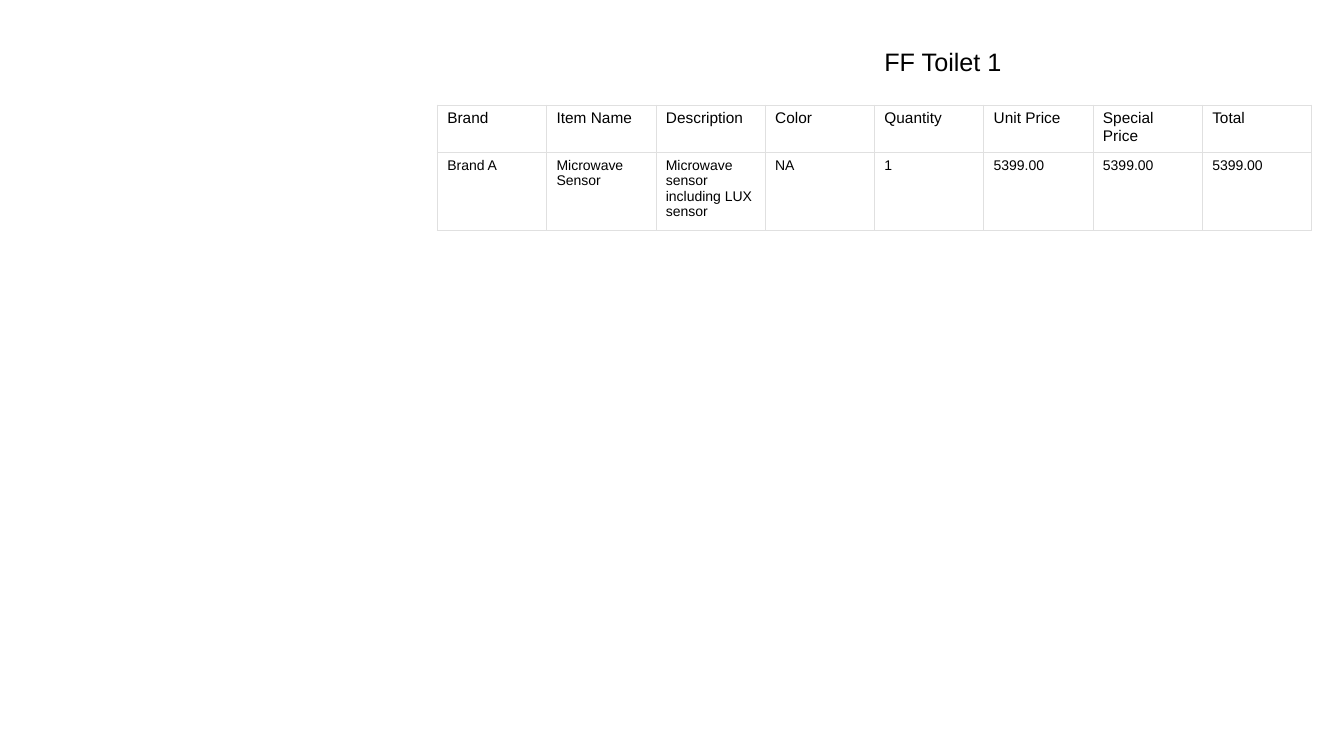
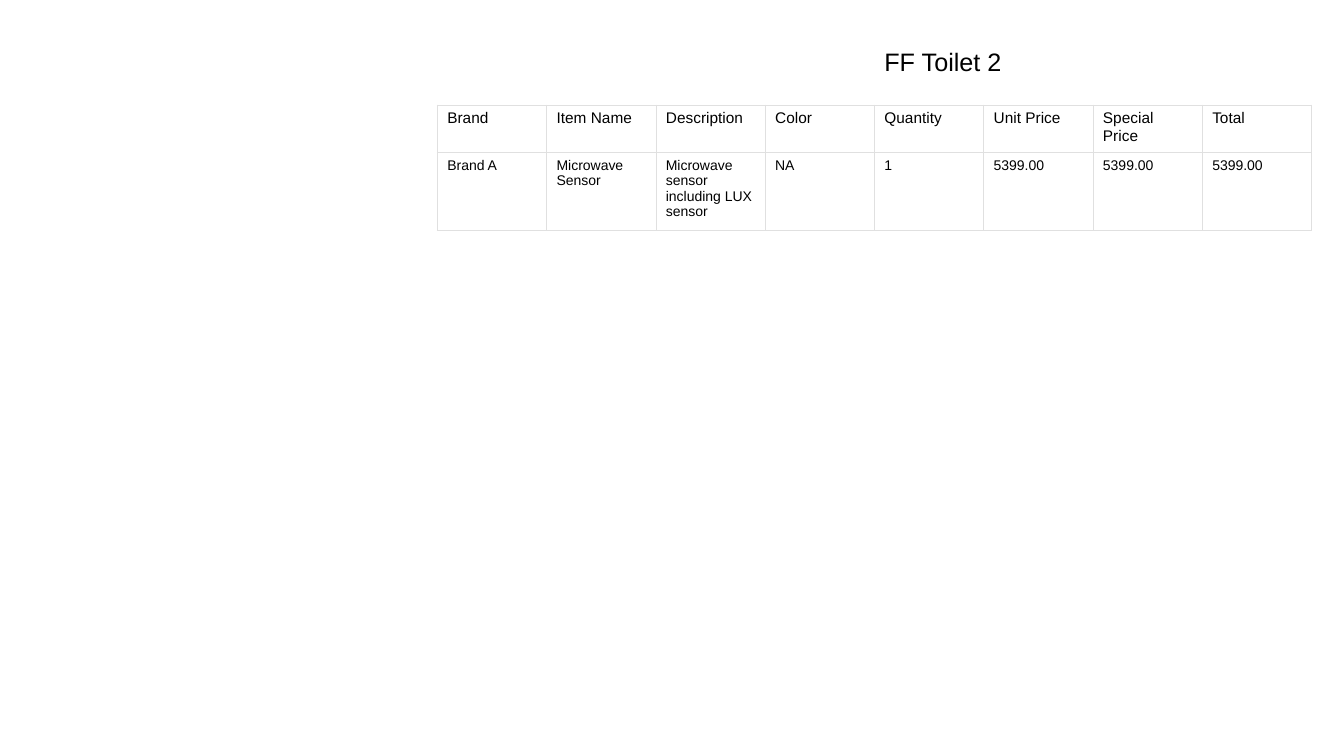
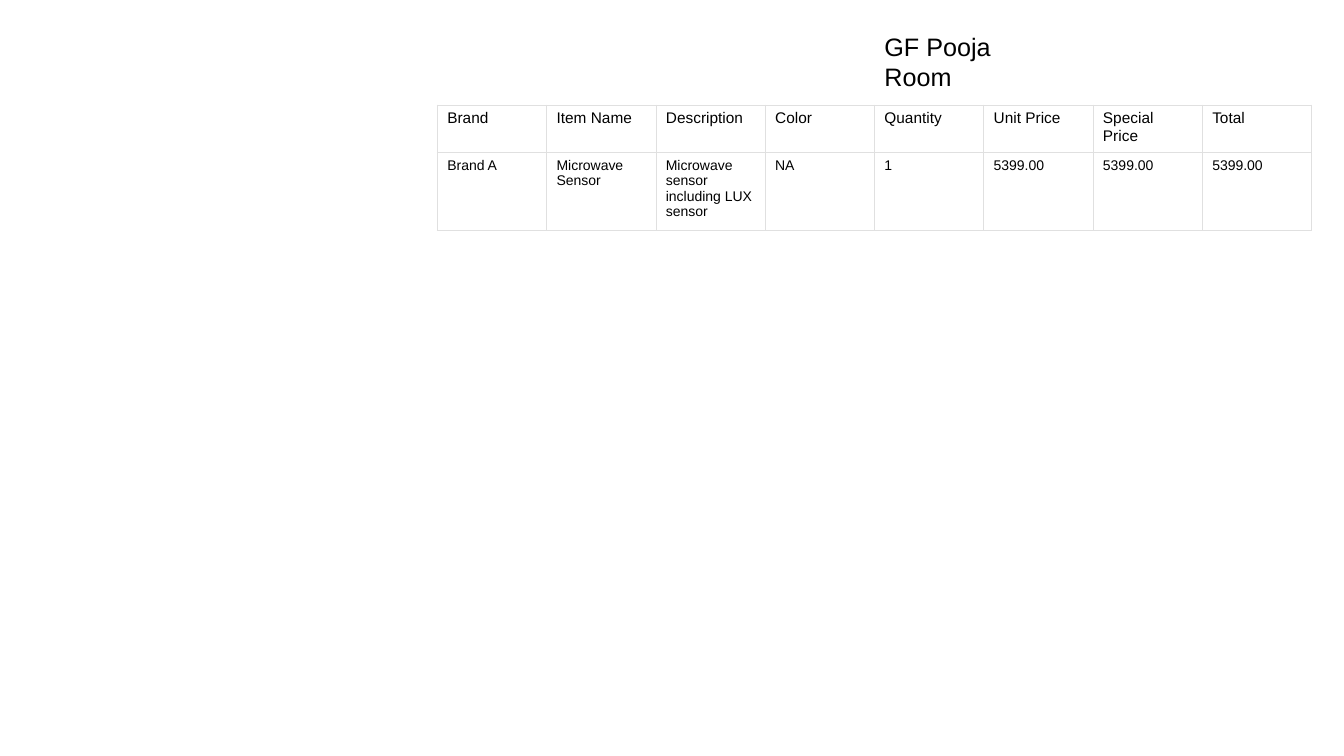
from lxml.etree import SubElement
from pptx import Presentation
from pptx.dml.color import RGBColor
from pptx.enum.text import MSO_ANCHOR
from pptx.oxml.ns import qn
from pptx.util import Inches, Pt

ROOMS = ["FF Toilet 1", "FF Toilet 2", "GF Pooja Room"]
HEADINGS = ["Brand", "Item Name", "Description", "Color",
            "Quantity", "Unit Price", "Special Price", "Total"]
SENSOR = ["Brand A", "Microwave Sensor", "Microwave sensor including LUX sensor",
          "NA", "1", "5399.00", "5399.00", "5399.00"]
QUOTE = [(HEADINGS, 11, 0.47), (SENSOR, 10, 0.77)]

FONT = "Arial"
INK = "000000"
RULE = "E0E0E0"
RULE_WIDTH = 0.45
TITLE_SIZE = 18

SLIDE_WIDTH, SLIDE_HEIGHT = 13.34, 7.5
COLUMN = 1.085
TABLE_LEFT = 4 * COLUMN
TITLE_LEFT = 8 * COLUMN
TITLE_TOP = 0.16 * COLUMN
TITLE_WIDTH = 1.6 * COLUMN
TITLE_HEIGHT = 0.8 * COLUMN
TABLE_TOP = TITLE_TOP + TITLE_HEIGHT


def color(code):
    return RGBColor.from_string(code)


def write(frame, text, size):
    run = frame.paragraphs[0].add_run()
    run.text = text
    run.font.name = FONT
    run.font.size = Pt(size)
    run.font.color.rgb = color(INK)


def rule_cell(cell):
    properties = cell._tc.get_or_add_tcPr()
    for side in ("lnL", "lnR", "lnT", "lnB"):
        line = SubElement(properties, qn(f"a:{side}"), w=str(Pt(RULE_WIDTH)))
        fill = SubElement(line, qn("a:solidFill"))
        SubElement(fill, qn("a:srgbClr"), val=RULE)
    cell.fill.background()


def add_title(slide, room):
    title = slide.shapes.add_textbox(Inches(TITLE_LEFT), Inches(TITLE_TOP),
                                     Inches(TITLE_WIDTH), Inches(TITLE_HEIGHT))
    frame = title.text_frame
    frame.word_wrap = False
    frame.vertical_anchor = MSO_ANCHOR.MIDDLE
    write(frame, room, TITLE_SIZE)


def add_quote(slide):
    height = sum(row_height for _, _, row_height in QUOTE)
    quote = slide.shapes.add_table(
        len(QUOTE), len(HEADINGS), Inches(TABLE_LEFT), Inches(TABLE_TOP),
        Inches(COLUMN * len(HEADINGS)), Inches(height)).table
    quote.first_row = quote.horz_banding = False
    for column in quote.columns:
        column.width = Inches(COLUMN)
    for row, (entries, size, row_height) in zip(quote.rows, QUOTE):
        row.height = Inches(row_height)
        for cell, entry in zip(row.cells, entries):
            rule_cell(cell)
            write(cell.text_frame, entry, size)


def main():
    deck = Presentation()
    deck.slide_width = Inches(SLIDE_WIDTH)
    deck.slide_height = Inches(SLIDE_HEIGHT)
    for room in ROOMS:
        slide = deck.slides.add_slide(deck.slide_layouts[6])
        add_title(slide, room)
        add_quote(slide)
    deck.save("out.pptx")


if __name__ == "__main__":
    main()
